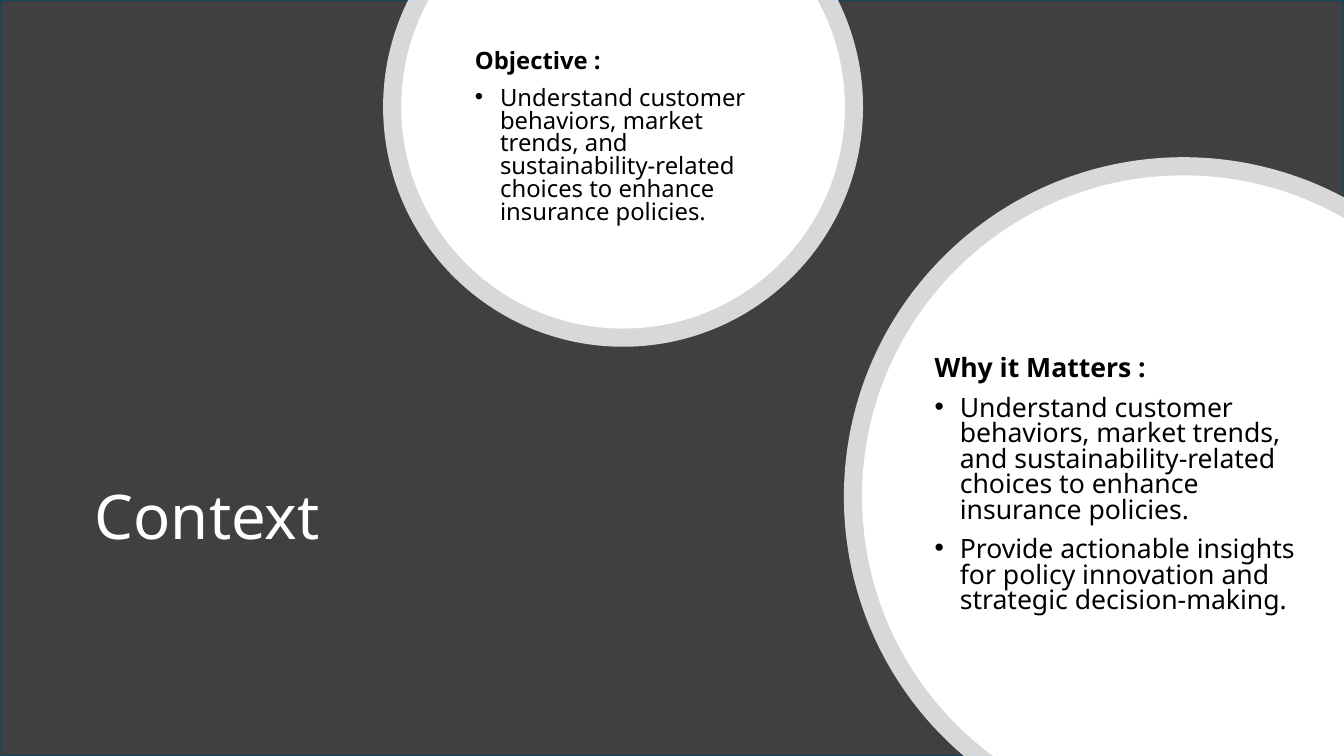
"""Build the Context slide with two cropped discs."""
from dataclasses import dataclass
from itertools import pairwise
from math import acos, asin, cos, pi, sin, tan

from pptx import Presentation
from pptx.dml.color import RGBColor
from pptx.enum import shapes, text
from pptx.oxml.ns import qn
from pptx.util import Inches, Pt

WIDTH, HEIGHT = 13.33, 7.5
RING = 0.18
INSIGHT = ("Understand customer behaviors, market trends, and "
           "sustainability-related choices to enhance insurance policies.")
INNOVATION = ("Provide actionable insights for policy innovation and "
              "strategic decision-making.")


@dataclass(frozen=True)
class Theme:
    """Colours, font and type sizes of the slide."""
    backdrop: RGBColor = RGBColor(0x40, 0x40, 0x40)
    border: RGBColor = RGBColor(0x10, 0x47, 0x60)
    light: RGBColor = RGBColor(0xFF, 0xFF, 0xFF)
    ink: RGBColor = RGBColor(0, 0, 0)
    font: str = "Noto Sans"
    title_size: int = 44
    objective_size: int = 17
    reasons_size: int = 19


THEME = Theme()


def add_backdrop(slide):
    """Cover the slide with a dark bordered rectangle."""
    backdrop = slide.shapes.add_shape(
        shapes.MSO_SHAPE.RECTANGLE, 0, 0, Inches(WIDTH), Inches(HEIGHT))
    backdrop.shadow.inherit = False
    backdrop.fill.solid()
    backdrop.fill.fore_color.rgb = THEME.backdrop
    backdrop.line.color.rgb = THEME.border
    backdrop.line.width = Pt(1.5)


def round_edge(disc, center, radius, angles):
    """Turn the first straight edges of a disc into circular arcs."""
    edges = disc.element.findall(".//" + qn("a:lnTo"))
    for edge, (start, end) in zip(edges, pairwise(angles)):
        reach = 4 / 3 * tan((end - start) / 4)
        curve = edge.makeelement(qn("a:cubicBezTo"), {})
        for angle, pull in ((start, reach), (end, -reach)):
            x = center[0] + radius * (cos(angle) - pull * sin(angle))
            y = center[1] + radius * (sin(angle) + pull * cos(angle))
            curve.append(edge.makeelement(qn("a:pt"), {
                "x": str(Inches(x) - disc.left),
                "y": str(Inches(y) - disc.top)}))
        curve.append(edge[0])
        edge.getparent().replace(edge, curve)


def add_disc(slide, center, radius, angles, corners=(), opacity=100):
    """Draw a white disc that ends at the slide edges."""
    outline = [(center[0] + radius * cos(angle), center[1] + radius * sin(angle))
               for angle in angles]
    points = [(Inches(x), Inches(y)) for x, y in [*outline, *corners]]
    builder = slide.shapes.build_freeform(*points[0])
    builder.add_line_segments(points[1:], close=True)
    disc = builder.convert_to_shape()
    round_edge(disc, center, radius, angles)
    disc.shadow.inherit = False
    disc.line.fill.background()
    disc.fill.solid()
    disc.fill.fore_color.rgb = THEME.light
    if opacity < 100:
        color = disc.element.spPr.find(qn("a:solidFill"))[0]
        color.append(color.makeelement(
            qn("a:alpha"), {"val": str(opacity * 1000)}))


def add_top_disc(slide, center, radius, opacity=100):
    """Draw a disc cropped by the top edge."""
    crossing = asin(center[1] / radius)
    angles = [-crossing, 0, pi / 2, pi, pi + crossing]
    add_disc(slide, center, radius, angles, opacity=opacity)


def add_corner_disc(slide, center, radius, opacity=100):
    """Draw a disc cropped by the bottom right corner."""
    bottom = pi - asin((HEIGHT - center[1]) / radius)
    right = 2 * pi - acos((WIDTH - center[0]) / radius)
    angles = [bottom, pi, 3 * pi / 2, right]
    add_disc(slide, center, radius, angles, [(WIDTH, HEIGHT)], opacity)


def add_ringed(draw_disc, slide, center, radius):
    """Draw a disc with a translucent ring around it."""
    draw_disc(slide, center, radius + RING, opacity=80)
    draw_disc(slide, center, radius)


def place(placeholder, left, top, width, height):
    """Move a placeholder to the front and centre its text vertically."""
    placeholder.left, placeholder.top = Inches(left), Inches(top)
    placeholder.width, placeholder.height = Inches(width), Inches(height)
    placeholder.element.getparent().append(placeholder.element)
    frame = placeholder.text_frame
    frame.word_wrap = True
    frame.auto_size = text.MSO_AUTO_SIZE.NONE
    frame.vertical_anchor = text.MSO_ANCHOR.MIDDLE
    return frame


def style(paragraph, size, color, bold=False):
    """Format a paragraph and its runs."""
    paragraph.alignment = text.PP_ALIGN.LEFT
    for run in paragraph.runs:
        run.font.name = THEME.font
        run.font.size = Pt(size)
        run.font.bold = bold
        run.font.color.rgb = color


def set_bullet(paragraph, bulleted):
    """Give a paragraph a hanging bullet or none at all."""
    properties = paragraph._p.get_or_add_pPr()
    hang = Inches(0.25) if bulleted else 0
    properties.set("marL", str(hang))
    properties.set("indent", str(-hang))
    if bulleted:
        font = properties.makeelement(qn("a:buFont"), {"typeface": "Arial"})
        bullet = properties.makeelement(qn("a:buChar"), {"char": "•"})
        properties.extend([font, bullet])
    else:
        properties.append(properties.makeelement(qn("a:buNone"), {}))


def fill_list(frame, heading, points, size):
    """Write a bold heading followed by bullet points."""
    frame.text = "\n".join([heading, *points])
    for index, paragraph in enumerate(frame.paragraphs):
        paragraph.line_spacing = 0.8
        paragraph.space_before = Pt(10)
        paragraph.space_after = Pt(0)
        set_bullet(paragraph, bulleted=index > 0)
        style(paragraph, size, THEME.ink, bold=index == 0)


def main():
    """Build and save the slide."""
    deck = Presentation()
    deck.slide_width, deck.slide_height = Inches(WIDTH), Inches(HEIGHT)
    slide = deck.slides.add_slide(deck.slide_layouts.get_by_name("Two Content"))
    title, objective, reasons = slide.placeholders

    add_backdrop(slide)
    add_ringed(add_top_disc, slide, (6.18, 1.06), 2.2)
    add_ringed(add_corner_disc, slide, (11.74, 4.93), 3.19)

    title_frame = place(title, 0.84, 3.83, 6.62, 2.65)
    title_frame.text = "Context"
    title_frame.paragraphs[0].line_spacing = 0.9
    style(title_frame.paragraphs[0], THEME.title_size, THEME.light)

    objective_frame = place(objective, 4.61, 0.39, 3.15, 1.96)
    fill_list(objective_frame, "Objective :", [INSIGHT], THEME.objective_size)

    reasons_frame = place(reasons, 9.17, 3.44, 3.8, 3.04)
    reasons_frame.margin_bottom = Inches(0.33)
    fill_list(reasons_frame, "Why it Matters :", [INSIGHT, INNOVATION],
              THEME.reasons_size)

    deck.save("out.pptx")


if __name__ == "__main__":
    main()
